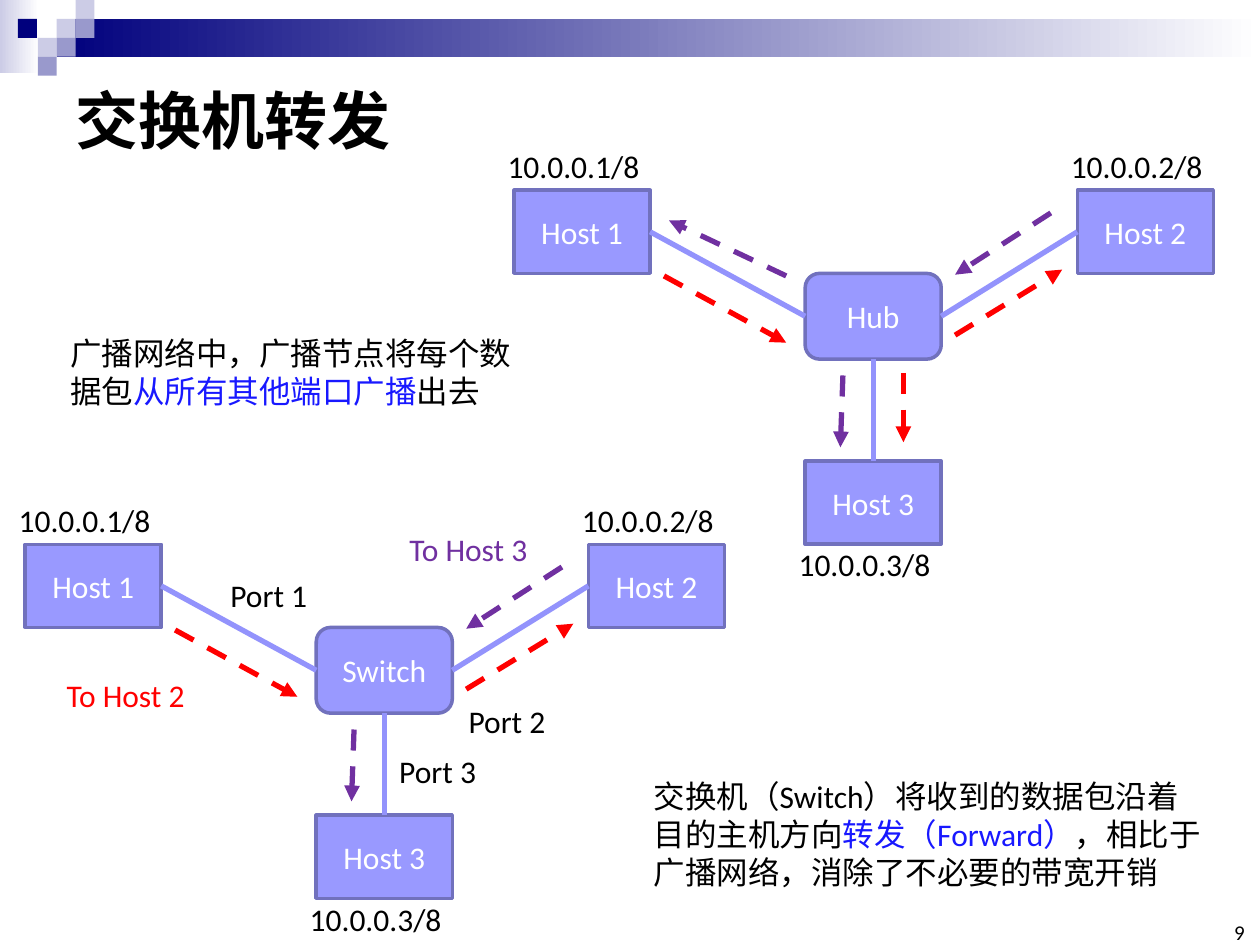
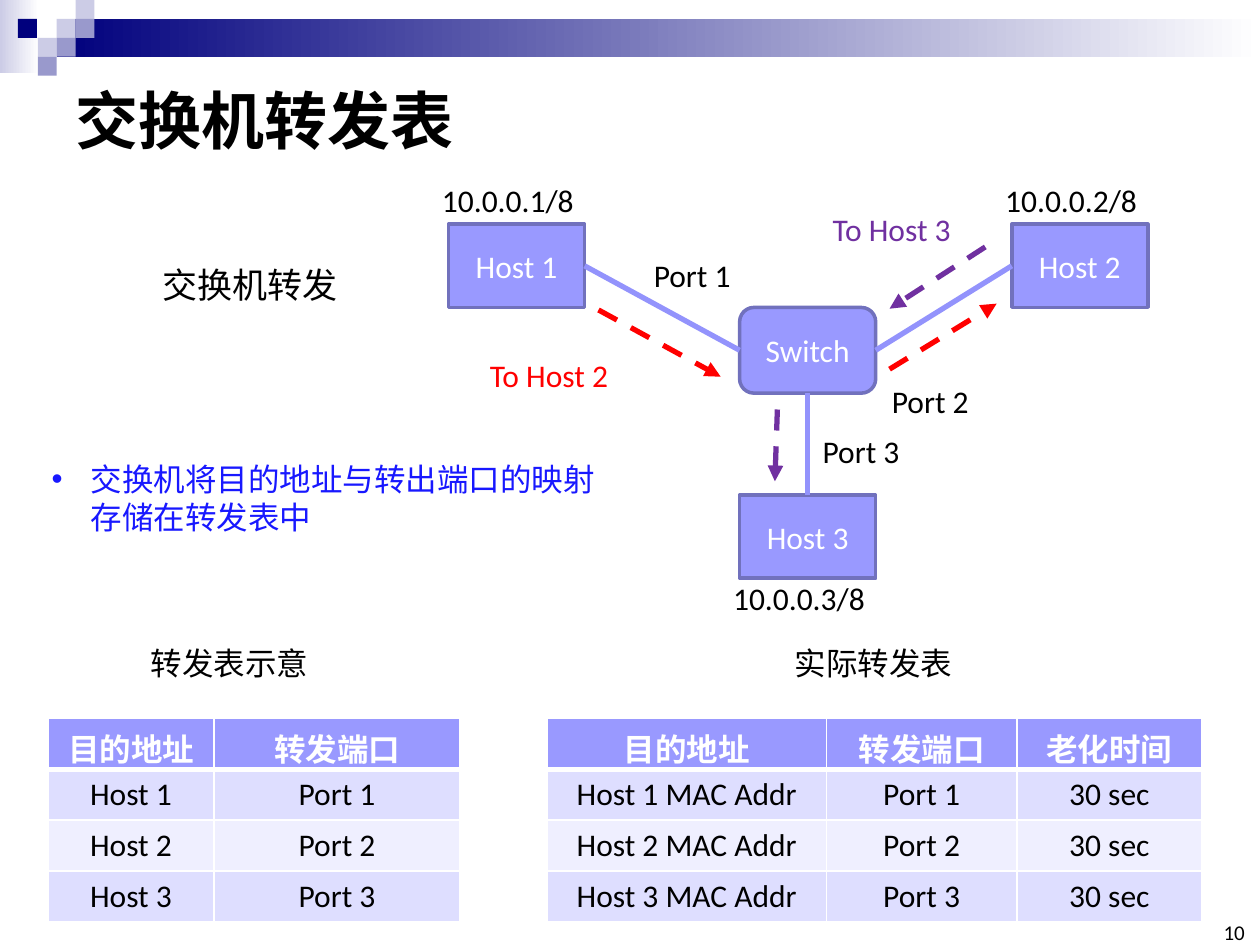
"""Build two slides about switch forwarding."""
from dataclasses import dataclass
from typing import Any

from lxml import etree
from pptx import Presentation
from pptx import util as u
from pptx.dml.color import RGBColor
from pptx.enum import dml, shapes, text
from pptx.oxml import ns

COLUMNS, ROWS = 100, 75
FONT = "Calibri"
BLACK, WHITE, RED, PURPLE, BLUE = "000000", "FFFFFF", "FF0000", "7030A0", "1818FF"
NAVY, PALE, MUTED = "00007D", "CCCCE6", "9999CC"
NODE, NODE_EDGE, LINK = "9999FF", "7171BD", "9393FC"
TABLE_BANDS = ["DEDEFF", "EFEFFF"]
RECTANGLE, ROUNDED = shapes.MSO_SHAPE.RECTANGLE, shapes.MSO_SHAPE.ROUNDED_RECTANGLE
TOP, LEFT, BOTTOM, RIGHT = range(4)
LABEL_HEIGHT = 4
CENTRED = {"alignment": text.PP_ALIGN.CENTER}
FREE = {"word_wrap": False, "auto_size": text.MSO_AUTO_SIZE.SHAPE_TO_FIT_TEXT}
WRAPPED = {"word_wrap": True, "auto_size": text.MSO_AUTO_SIZE.NONE}

presentation = Presentation()
presentation.slide_width, presentation.slide_height = u.Inches(10), u.Inches(7.5)


@dataclass(frozen=True)
class Area:
    """A rectangle in grid columns and rows."""
    left: float
    top: float
    width: float
    height: float

    def lengths(self) -> list[int]:
        """Return left, top, width and height in slide units."""
        return [across(self.left), down(self.top), across(self.width), down(self.height)]

    def moved(self, column: float, row: float) -> "Area":
        """Return the same area shifted by columns and rows."""
        return Area(self.left + column, self.top + row, self.width, self.height)


@dataclass(frozen=True)
class Label:
    """One line of text at a place on the grid."""
    words: str
    left: float
    top: float
    width: float
    colour: str = BLACK
    size: int = 18


@dataclass(frozen=True)
class Arrow:
    """A dashed arrow between two grid points."""
    start: tuple[float, float]
    end: tuple[float, float]
    colour: str


HOSTS = {"Host 1": (0, 0), "Host 2": (44.7, 0), "Host 3": (23.1, 21.5)}
ADDRESSES = [
    Label("10.0.0.1/8", -1.5, -3.9, 12.6),
    Label("10.0.0.2/8", 43.2, -3.9, 12.6),
    Label("10.0.0.3/8", 21.6, 27.7, 12.6),
]
HOST_AREA, CENTRE_AREA = Area(0, 0, 10.8, 6.6), Area(23.1, 6.6, 10.8, 6.8)
ARROWS = [
    Arrow((11.9, 6.8), (21.6, 12.1), RED),
    Arrow((35, 11.5), (43.5, 6.3), RED),
    Arrow((42.6, 1.8), (35, 6.7), PURPLE),
    Arrow((26.1, 14.7), (25.9, 20.4), PURPLE),
]
FLOOD_ARROWS = [
    Arrow((30.9, 14.5), (30.9, 20), RED),
    Arrow((21.6, 6.8), (12.3, 2.4), PURPLE),
]
SWITCH_LABELS = [
    Label("To Host 2", 2.3, 10, 11.5, RED),
    Label("To Host 3", 29.5, -1.6, 11.5, PURPLE),
    Label("Port 2", 34.2, 12, 8.2),
    Label("Port 1", 15.3, 2, 8.2),
    Label("Port 3", 28.7, 16, 8.2),
]


def across(columns: float) -> int:
    """Turn grid columns into a length."""
    return round(presentation.slide_width * columns / COLUMNS)


def down(rows: float) -> int:
    """Turn grid rows into a length."""
    return round(presentation.slide_height * rows / ROWS)


def colour_of(value: str) -> RGBColor:
    """Turn a hex string into a colour."""
    return RGBColor.from_string(value)


def assign(target: Any, formats: dict[str, Any]) -> None:
    """Set every format value on the target."""
    for name, value in formats.items():
        setattr(target, name, value)


def place(shape: Any, area: Area) -> None:
    """Move a shape to a grid area."""
    assign(shape, dict(zip(("left", "top", "width", "height"), area.lengths())))


def write(frame: Any, runs: list[tuple[str, str]], size: int = 18, bold: bool = False,
          paragraph_format: dict[str, Any] | None = None) -> Any:
    """Write coloured runs into the first paragraph of a frame."""
    paragraph = frame.paragraphs[0]
    assign(paragraph, paragraph_format or {})
    for words, colour in runs:
        run = paragraph.add_run()
        run.text = words
        assign(run.font, {"name": FONT, "size": u.Pt(size), "bold": bold})
        run.font.color.rgb = colour_of(colour)
    return paragraph


def add_text(slide: Any, area: Area, runs: list[tuple[str, str]], frame_format: dict[str, Any],
             size: int = 18, paragraph_format: dict[str, Any] | None = None) -> None:
    """Add a text box."""
    frame = slide.shapes.add_textbox(*area.lengths()).text_frame
    assign(frame, frame_format)
    write(frame, runs, size, paragraph_format=paragraph_format)


def add_label(slide: Any, label: Label, column: float = 0, row: float = 0) -> None:
    """Add a one-line label, shifted by columns and rows."""
    area = Area(label.left, label.top, label.width, LABEL_HEIGHT).moved(column, row)
    add_text(slide, area, [(label.words, label.colour)], FREE, label.size)


def add_block(slide: Any, area: Area, colours: list[str], kind: Any = RECTANGLE) -> Any:
    """Add a shape with a plain fill, or a gradient for two colours."""
    shape = slide.shapes.add_shape(kind, *area.lengths())
    shape.shadow.inherit = False
    shape.line.fill.background()
    if len(colours) == 1:
        shape.fill.solid()
        shape.fill.fore_color.rgb = colour_of(colours[0])
        return shape
    shape.fill.gradient()
    shape.fill.gradient_angle = 0
    for position, (stop, colour) in enumerate(zip(shape.fill.gradient_stops, colours)):
        stop.position = position
        stop.color.rgb = colour_of(colour)
    return shape


def add_node(slide: Any, name: str, area: Area, kind: Any = RECTANGLE) -> Any:
    """Add a named network device."""
    shape = add_block(slide, area, [NODE], kind)
    shape.line.color.rgb = colour_of(NODE_EDGE)
    shape.line.width = u.Pt(2)
    shape.text_frame.vertical_anchor = text.MSO_ANCHOR.MIDDLE
    write(shape.text_frame, [(name, WHITE)], paragraph_format=CENTRED)
    return shape


def add_line(slide: Any, colour: str, start: tuple[float, float] = (0, 0),
             end: tuple[float, float] = (0, 0)) -> Any:
    """Add a straight connector between two grid points."""
    connector = slide.shapes.add_connector(
        shapes.MSO_CONNECTOR.STRAIGHT,
        across(start[0]), down(start[1]), across(end[0]), down(end[1]))
    connector.line.color.rgb = colour_of(colour)
    connector.line.width = u.Pt(3)
    etree.SubElement(connector._element.spPr, ns.qn("a:effectLst"))
    return connector


def add_arrow(slide: Any, arrow: Arrow, column: float, row: float) -> None:
    """Add a dashed arrow, shifted by columns and rows."""
    start, end = ((x + column, y + row) for x, y in (arrow.start, arrow.end))
    connector = add_line(slide, arrow.colour, start, end)
    connector.line.dash_style = dml.MSO_LINE.DASH
    outline = connector._element.spPr.find(ns.qn("a:ln"))
    etree.SubElement(outline, ns.qn("a:tailEnd"), type="triangle")


def add_network(slide: Any, column: float, row: float, centre_name: str,
                arrows: list[Arrow], labels: list[Label]) -> None:
    """Draw three hosts linked to a central device."""
    hosts = [add_node(slide, name, HOST_AREA.moved(column + x, row + y))
             for name, (x, y) in HOSTS.items()]
    centre = add_node(slide, centre_name, CENTRE_AREA.moved(column, row), ROUNDED)
    for host, host_side, centre_side in zip(
            hosts, (RIGHT, LEFT, TOP), (LEFT, RIGHT, BOTTOM)):
        link = add_line(slide, LINK)
        link.begin_connect(host, host_side)
        link.end_connect(centre, centre_side)
    for arrow in arrows:
        add_arrow(slide, arrow, column, row)
    for label in ADDRESSES + labels:
        add_label(slide, label, column, row)


def add_master_band(slide: Any) -> None:
    """Draw the top band and squares and hand them to the slide master."""
    blocks = [
        add_block(slide, Area(0, 0, 3.1, 5.8), [PALE, WHITE]),
        add_block(slide, Area(4.5, 1.5, 95.5, 3), [NAVY, WHITE]),
    ]
    squares = [(3, 1, PALE), (4, 0, PALE), (4, 1, MUTED), (2, 2, PALE),
               (0.95, 1, NAVY), (3, 2, MUTED), (2, 3, MUTED)]
    blocks += [add_block(slide, Area(1.5 * x, 1.5 * y, 1.5, 1.5), [colour])
               for x, y, colour in squares]
    for number, block in enumerate(blocks, 100):
        block._element.nvSpPr.cNvPr.set("id", str(number))
        presentation.slide_master.shapes._spTree.append(block._element)


def add_slide(layout_index: int, title: str, number: int) -> Any:
    """Add a slide with its title and number."""
    slide = presentation.slides.add_slide(presentation.slide_layouts[layout_index])
    place(slide.shapes.title, Area(5, 5, 90, 8.9))
    frame = slide.shapes.title.text_frame
    assign(frame, {**WRAPPED, "vertical_anchor": text.MSO_ANCHOR.MIDDLE})
    write(frame, [(title, BLACK)], 36, True, {"alignment": text.PP_ALIGN.LEFT})
    margins = {f"margin_{side}": 0 for side in ("left", "top", "right", "bottom")}
    add_text(slide, Area(96.5, 73.3, 2.3, 1.7), [(str(number), BLACK)],
             {**WRAPPED, **margins, "vertical_anchor": text.MSO_ANCHOR.BOTTOM},
             12, {"alignment": text.PP_ALIGN.RIGHT})
    return slide


def add_borders(cell: Any, bottom_width: float) -> None:
    """Give a table cell white borders."""
    properties = cell._tc.get_or_add_tcPr()
    widths = {"lnL": 1, "lnR": 1, "lnT": 1, "lnB": bottom_width}
    for index, (side, width) in enumerate(widths.items()):
        border = etree.Element(ns.qn(f"a:{side}"), w=str(u.Pt(width)))
        fill = etree.SubElement(border, ns.qn("a:solidFill"))
        etree.SubElement(fill, ns.qn("a:srgbClr"), val=WHITE)
        properties.insert(index, border)


def add_forwarding_table(slide: Any, left: float, widths: list[float],
                         rows: list[list[str]]) -> None:
    """Add a table with a header row and banded rows."""
    area = Area(left, 57, sum(widths), 4.05 * len(rows))
    table = slide.shapes.add_table(len(rows), len(widths), *area.lengths()).table
    for column, width in zip(table.columns, widths):
        column.width = across(width)
    for row_index, row in enumerate(rows):
        header = row_index == 0
        background = NODE if header else TABLE_BANDS[(row_index - 1) % 2]
        for column_index, words in enumerate(row):
            cell = table.cell(row_index, column_index)
            cell.fill.solid()
            cell.fill.fore_color.rgb = colour_of(background)
            add_borders(cell, 3 if header else 1)
            write(cell.text_frame, [(words, WHITE if header else BLACK)],
                  bold=header, paragraph_format=CENTRED)


def build_forwarding_slide() -> None:
    """Compare flooding by a hub with forwarding by a switch."""
    slide = add_slide(5, "交换机转发", 9)
    add_master_band(slide)
    add_text(slide, Area(4.6, 26, 39.4, 7.1), [
        ("广播网络中，广播节点将每个数据包", BLACK), ("从所有其他端口广播", BLUE),
        ("出去", BLACK)], WRAPPED)
    add_text(slide, Area(50.9, 61.2, 45.4, 10.1), [
        ("交换机（Switch）将收到的数据包沿着目的主机方向", BLACK), ("转发（Forward）", BLUE),
        ("，相比于广播网络，消除了不必要的带宽开销", BLACK)], WRAPPED)
    add_network(slide, 40.8, 15.1, "Hub", ARROWS + FLOOD_ARROWS, [])
    add_network(slide, 2, 43.2, "Switch", ARROWS, SWITCH_LABELS)


def build_table_slide() -> None:
    """Show the switch with its forwarding tables."""
    slide = add_slide(1, "交换机转发表", 10)
    body = slide.placeholders[1]
    place(body, Area(3.1, 36, 46.5, 7.1))
    assign(body.text_frame, WRAPPED)
    paragraph = write(body.text_frame, [("交换机将目的地址与转出端口的映射存储在转发表中", BLUE)],
                      paragraph_format={"space_before": u.Pt(0)})
    for name, sign in (("marL", 1), ("indent", -1)):
        paragraph._p.get_or_add_pPr().set(name, str(sign * across(3.1)))
    for label in (Label("交换机转发", 11.9, 20.4, 16, size=20),
                  Label("转发表示意", 11, 50.6, 14.6), Label("实际转发表", 62.1, 50.6, 14.6)):
        add_label(slide, label)
    headings, numbers = ["目的地址", "转发端口", "老化时间"], range(1, 4)
    add_forwarding_table(slide, 3.8, [13.2, 19.5], [headings[:2]] + [
        [f"Host {number}", f"Port {number}"] for number in numbers])
    add_forwarding_table(slide, 43.4, [22.2, 15.1, 14.7], [headings] + [
        [f"Host {number} MAC Addr", f"Port {number}", "30 sec"] for number in numbers])
    add_network(slide, 35.6, 17.8, "Switch", ARROWS, SWITCH_LABELS)


build_forwarding_slide()
build_table_slide()
presentation.save("out.pptx")
